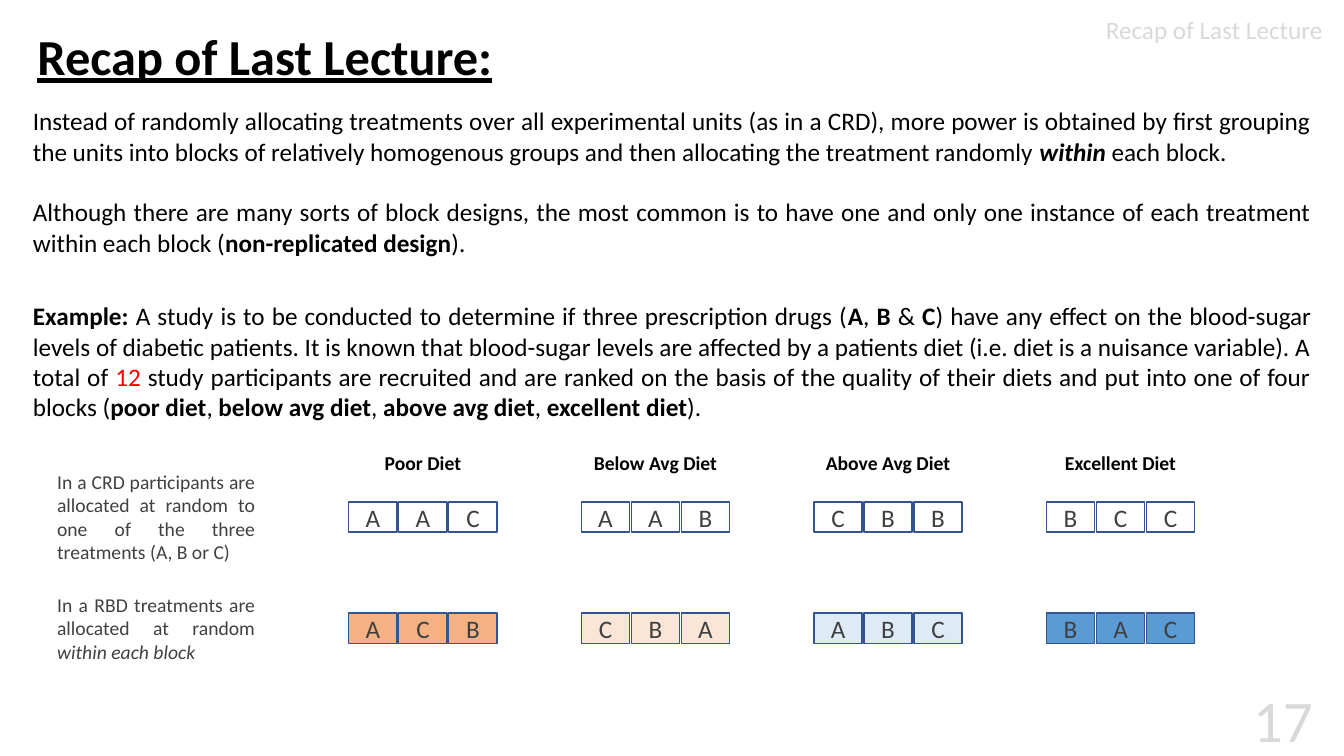
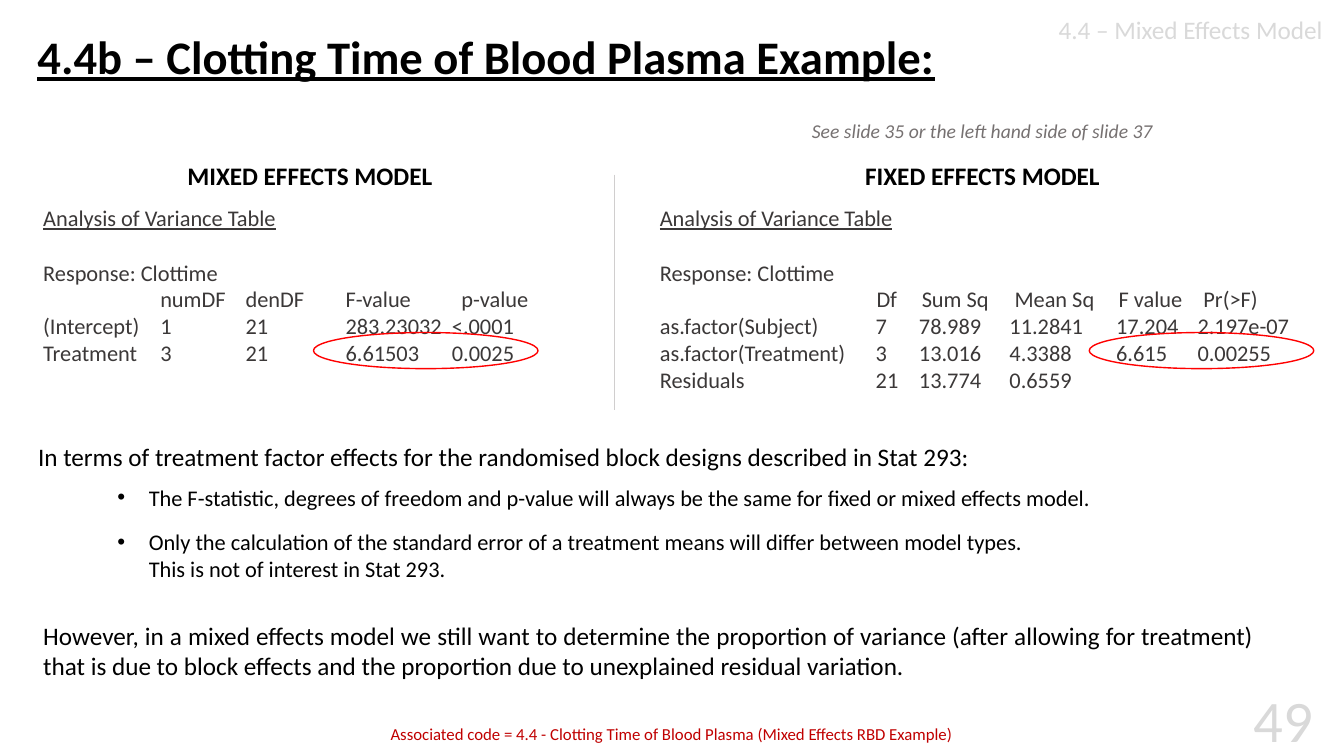
from pptx import Presentation
from pptx.dml.color import RGBColor
from pptx.enum.shapes import MSO_CONNECTOR as Connector, MSO_SHAPE as Shape
from pptx.enum.text import MSO_ANCHOR as Anchor, MSO_AUTO_SIZE as AutoSize, PP_ALIGN as Align
from pptx.oxml.ns import qn
from pptx.util import Cm, Pt
from lxml.etree import SubElement

FONT = "Calibri"
BLACK = RGBColor(0x00, 0x00, 0x00)
DARK = RGBColor(0x40, 0x40, 0x40)
OUTPUT = RGBColor(0x3B, 0x38, 0x38)
NOTE = RGBColor(0x76, 0x71, 0x71)
PALE = RGBColor(0xD9, 0xD9, 0xD9)
DIVIDER = RGBColor(0xD0, 0xCE, 0xCE)
RED = RGBColor(0xFF, 0x00, 0x00)
CODE_RED = RGBColor(0xC0, 0x00, 0x00)
CELL_LINE = RGBColor(0x32, 0x54, 0x91)
ORANGE = RGBColor(0xF4, 0xB1, 0x83)
PEACH = RGBColor(0xFB, 0xE5, 0xD6)
ICE = RGBColor(0xDE, 0xEB, 0xF7)
BLUE = RGBColor(0x5B, 0x9B, 0xD5)

DIETS = [
    ("Poor Diet", "AAC", "ACB", ORANGE),
    ("Below Avg Diet", "AAB", "CBA", PEACH),
    ("Above Avg Diet", "CBB", "ABC", ICE),
    ("Excellent Diet", "BCC", "BAC", BLUE),
]

GROUPING = [
    ("Instead of randomly allocating treatments over all experimental units (as in a CRD), "
     "more power is obtained by first grouping the units into blocks of relatively homogenous "
     "groups and then allocating the treatment randomly ", ""),
    ("within", "bi"),
    (" each block.", ""),
]
DESIGN = [
    ("Although there are many sorts of block designs, the most common is to have one and only "
     "one instance of each treatment within each block (", ""),
    ("non-replicated design", "b"),
    (").", ""),
]
EXAMPLE = [
    ("Example: ", "b"),
    ("A study is to be conducted to determine if three prescription drugs (", ""),
    ("A", "b"), (", ", ""), ("B", "b"), (" & ", ""), ("C", "b"),
    (") have any effect on the blood-sugar levels of diabetic patients. It is known that "
     "blood-sugar levels are affected by a patients diet (i.e. diet is a nuisance variable). "
     "A total of ", ""),
    ("12", "r"),
    (" study participants are recruited and are ranked on the basis of the quality of their "
     "diets and put into one of four blocks (", ""),
    ("poor diet", "b"), (", ", ""), ("below avg diet", "b"), (", ", ""),
    ("above avg diet", "b"), (", ", ""), ("excellent diet", "b"), (").", ""),
]

MIXED_ROWS = [
    ("", "numDF", "denDF", "F-value", "p-value"),
    ("(Intercept)", "1", "21", "283.23032", "<.0001"),
    ("Treatment", "3", "21", "6.61503", "0.0025"),
]
MIXED_HEAD_STOPS = (2.95, 5.1, 7.62, 10.54)
MIXED_STOPS = (2.95, 5.1, 7.62, 10.3)
FIXED_ROWS = [
    ("", "Df", "Sum Sq", "Mean Sq", "F value", "Pr(>F)"),
    ("as.factor(Subject)", "7", "78.989", "11.2841", "17.204", "2.197e-07"),
    ("as.factor(Treatment)", "3", "13.016", "4.3388", "6.615", "0.00255"),
    ("Residuals", "21", "13.774", "0.6559"),
]
FIXED_HEAD_STOPS = (5.46, 6.6, 8.94, 11.56, 13.7)
FIXED_STOPS = (5.44, 6.53, 8.81, 11.5, 13.55)


def set_font(para, size, color, bold=False, italic=False, underline=False):
    """Format the whole paragraph."""
    font = para.font
    font.name, font.size = FONT, Pt(size)
    font.bold, font.italic, font.underline = bold, italic, underline
    font.color.rgb = color


def write(para, content):
    """Fill a paragraph with a string or with (text, style) spans."""
    if isinstance(content, str):
        para.text = content
        return
    for text, style in content:
        span = para.add_run()
        span.text = text
        if "b" in style:
            span.font.bold = True
        if "i" in style:
            span.font.italic = True
        if "r" in style:
            span.font.color.rgb = RED


def add_frame(page, left, top, width, height):
    """Add a wrapping text box, in centimetres, and return its frame."""
    frame = page.shapes.add_textbox(Cm(left), Cm(top), Cm(width), Cm(height)).text_frame
    frame.word_wrap = True
    return frame


def add_text(page, box, content, size=18, color=BLACK, align=Align.LEFT, bullet=False, **style):
    """Add a one-paragraph text box."""
    para = add_frame(page, *box).paragraphs[0]
    write(para, content)
    if bullet:
        props = para._p.get_or_add_pPr()
        props.set("marL", str(Cm(0.79)))
        props.set("indent", str(-Cm(0.79)))
        SubElement(props, qn("a:buFont"), typeface="Arial")
        SubElement(props, qn("a:buChar"), char="•")
    para.alignment = align
    set_font(para, size, color, **style)


def add_outline(page, kind, box, line, fill=None):
    """Add a thinly outlined shape, filled only when a colour is given."""
    shape = page.shapes.add_shape(kind, *(Cm(length) for length in box))
    shape.shadow.inherit = False
    if fill is None:
        shape.fill.background()
    else:
        shape.fill.solid()
        shape.fill.fore_color.rgb = fill
    shape.line.color.rgb = line
    shape.line.width = Pt(1)
    return shape


def add_page(deck, title, title_size, section, number):
    """Add a slide with its title, section label and page number."""
    page = deck.slides.add_slide(deck.slide_layouts[5])
    heading = page.shapes.title
    heading.left, heading.top = Cm(0.69), Cm(0.66)
    heading.width, heading.height = Cm(24), Cm(1.68)
    frame = heading.text_frame
    frame.text = title
    frame.auto_size = AutoSize.NONE
    frame.vertical_anchor = Anchor.MIDDLE
    para = frame.paragraphs[0]
    para.alignment = Align.LEFT
    para.line_spacing = 0.9
    set_font(para, title_size, BLACK, bold=True, underline=True)
    add_text(page, (23.4, 0.24, 10.18, 1), section, color=PALE, align=Align.RIGHT)
    add_text(page, (30, 17.1, 3.35, 1.9), number, size=42, color=PALE, align=Align.RIGHT)
    return page


def add_cells(page, left, top, letters, fill=None):
    """Draw one block of treatment cells from its top left corner."""
    for index, letter in enumerate(letters):
        box = (left + index * 1.26, top, 1.22, 0.76)
        frame = add_outline(page, Shape.RECTANGLE, box, CELL_LINE, fill).text_frame
        frame.margin_left = frame.margin_right = frame.margin_top = frame.margin_bottom = 0
        frame.vertical_anchor = Anchor.MIDDLE
        para = frame.paragraphs[0]
        para.text = letter
        para.alignment = Align.CENTER
        set_font(para, 18, DARK)


def add_allocations(page, left, top):
    """Compare both allocation schemes across the four diets."""
    notes = [
        (0.48, "In a CRD participants are allocated at random to one of the three "
               "treatments (A, B or C)"),
        (3.58, [("In a RBD treatments are allocated at random ", ""),
                ("within each block", "i")]),
    ]
    for offset, note in notes:
        add_text(page, (left, top + offset, 5.49, 2.77), note, 14, DARK, Align.JUSTIFY)
    for index, (diet, crd, rbd, fill) in enumerate(DIETS):
        block_left = left + 7.6 + index * 5.86
        add_text(page, (block_left, top, 3.74, 1.42), diet, 14, align=Align.CENTER, bold=True)
        add_cells(page, block_left, top + 1.42, crd)
        add_cells(page, block_left, top + 4.22, rbd, fill)


def add_anova(page, left, top, width, heading, rows, head_stops, stops, ring_offset):
    """Place one model's heading, output and ringed treatment test."""
    add_text(page, (left, top, width, 0.97), heading, align=Align.CENTER, bold=True)
    frame = add_frame(page, left, top + 1.12, width, 5.3)
    lines = [("Analysis of Variance Table",), ("Response: Clottime",), *rows]
    for index, cells in enumerate(lines):
        para = frame.add_paragraph() if index else frame.paragraphs[0]
        write(para, [("\t".join(cells), "")])
        if len(cells) > 1:
            tabs = SubElement(para._p.get_or_add_pPr(), qn("a:tabLst"))
            for stop in stops if cells[0] else head_stops:
                SubElement(tabs, qn("a:tab"), pos=str(Cm(stop)), algn="l")
        if index == 1:
            para.space_before = Pt(19.5)
        set_font(para, 16, OUTPUT, underline=index == 0)
    add_outline(page, Shape.OVAL, (left + ring_offset, top + 4.47, 5.66, 0.91), RED)


def add_divider(page, left, top, height):
    """Draw the thin rule between the two models."""
    rule = page.shapes.add_connector(
        Connector.STRAIGHT, Cm(left), Cm(top), Cm(left), Cm(top + height))
    rule.line.color.rgb = DIVIDER
    rule.line.width = Pt(0.5)
    SubElement(rule._element.spPr, qn("a:effectLst"))


def add_conclusions(page, left, top):
    """Write what the comparison of the models shows."""
    add_text(page, (left, top, 31.01, 1.12),
             "In terms of treatment factor effects for the randomised block designs "
             "described in Stat 293:")
    points = [
        (1.07, "The F-statistic, degrees of freedom and p-value will always be the same "
               "for fixed or mixed effects model."),
        (2.18, "Only the calculation of the standard error of a treatment means will "
               "differ between model types.\vThis is not of interest in Stat 293."),
    ]
    for offset, point in points:
        add_text(page, (left + 2, top + offset, 29, 1.04), point, 16, bullet=True)
    add_text(page, (left + 0.13, top + 4.5, 31.01, 1.88),
             "However, in a mixed effects model we still want to determine the proportion of "
             "variance (after allowing for treatment) that is due to block effects and the "
             "proportion due to unexplained residual variation.", align=Align.JUSTIFY)


def add_recap(deck):
    """Build the recap of block designs."""
    page = add_page(deck, "Recap of Last Lecture:", 36, "Recap of Last Lecture", "17")
    for top, height, content in [(2.54, 1.88, GROUPING), (4.83, 2.51, DESIGN),
                                 (7.45, 3.45, EXAMPLE)]:
        add_text(page, (0.58, top, 32.72, height), content, align=Align.JUSTIFY)
    add_allocations(page, 1.19, 11.23)


def add_comparison(deck):
    """Build the comparison of mixed and fixed effects models."""
    page = add_page(deck, "4.4b – Clotting Time of Blood Plasma Example:", 33.3,
                    "4.4 – Mixed Effects Model", "49")
    add_anova(page, 0.84, 3.91, 13.94, "MIXED EFFECTS MODEL", MIXED_ROWS,
              MIXED_HEAD_STOPS, MIXED_STOPS, 7.06)
    add_anova(page, 16.38, 3.91, 16.76, "FIXED EFFECTS MODEL", FIXED_ROWS,
              FIXED_HEAD_STOPS, FIXED_STOPS, 11.07)
    add_divider(page, 15.47, 4.4, 5.94)
    add_text(page, (16.38, 2.87, 16.76, 0.86), "See slide 35 or the left hand side of slide 37",
             14, NOTE, Align.CENTER, italic=True)
    add_conclusions(page, 0.71, 11)
    add_text(page, (8.36, 18.11, 17.14, 0.86),
             "Associated code = 4.4 - Clotting Time of Blood Plasma (Mixed Effects RBD Example)",
             12, CODE_RED, Align.CENTER)


def main():
    """Build and save the deck."""
    deck = Presentation()
    deck.slide_width, deck.slide_height = Cm(33.87), Cm(19.05)
    add_recap(deck)
    add_comparison(deck)
    deck.save("out.pptx")


if __name__ == "__main__":
    main()
